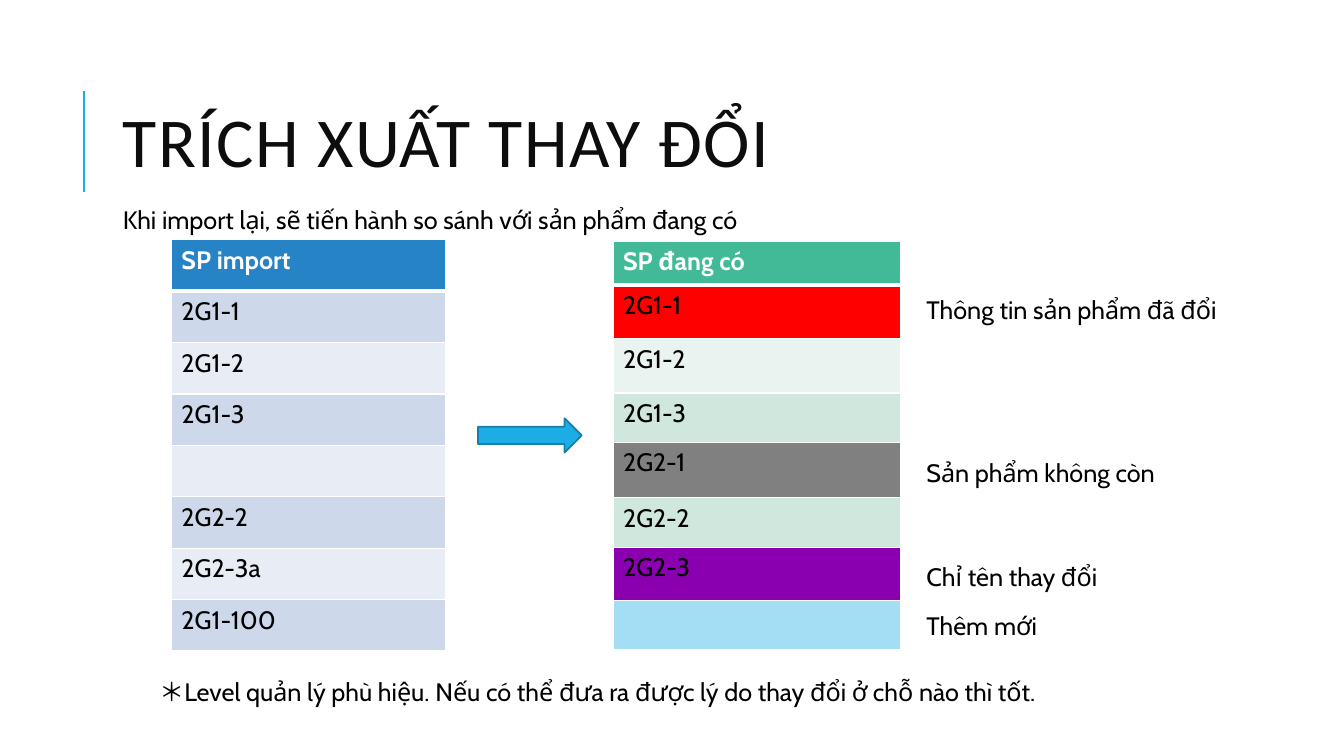
from lxml.etree import SubElement
from pptx import Presentation
from pptx.dml.color import RGBColor
from pptx.enum.shapes import MSO_CONNECTOR as CONN, MSO_SHAPE as SHAPE
from pptx.enum.text import MSO_ANCHOR as ANCHOR, MSO_AUTO_SIZE as FIT
from pptx.oxml.ns import qn
from pptx.util import Inches, Pt

# Content
TITLE = "TRÍCH XUẤT THAY ĐỔI"
TEXTS = [  # left, top, width, text
    (1.12, 1.98, 6.73, "Khi import lại, sẽ tiến hành so sánh với sản phẩm đang có"),
    (9.09, 2.87, 3.23, "Thông tin sản phẩm đã đổi"),
    (9.09, 4.49, 2.54, "Sản phẩm không còn"),
    (9.09, 5.52, 2.54, "Chỉ tên thay đổi"),
    (9.09, 6.01, 2.54, "Thêm mới"),
    (1.48, 6.66, 9.8, "＊Level quản lý phù hiệu. Nếu có thể đưa ra được lý do thay đổi ở chỗ nào thì tốt."),
]
IMPORTED = ["SP import", "2G1-1", "2G1-2", "2G1-3", "", "2G2-2", "2G2-3a", "2G1-100"]
EXISTING = ["SP đang có", "2G1-1", "2G1-2", "2G1-3", "2G2-1", "2G2-2", "2G2-3", ""]

THEME = {
    "accent": "1CADE4", "arrow_line": "1580A9", "border": "FFFFFF",
    "title": {"name": "Calibri", "size": 50, "color": "0D0D0D"},
    "body": {"name": "Cabin", "size": 18, "color": "000000"},
    "header": {"name": "Cabin", "size": 18, "color": "FFFFFF", "bold": True},
    "import": {"header": "2683C6", "bands": ("CDD9EA", "E8EDF5")},
    "existing": {"header": "42BA97", "bands": ("CFE7DD", "E9F3EF")},
    "changed": "FF0000", "removed": "808080", "renamed": "8A00B0", "added": "A4DEF4",
}
STATUS = {1: "changed", 4: "removed", 6: "renamed", 7: "added"}  # row: state

TABLES = [  # left, top, width, row heights, rows, palette, row states
    (1.7, 2.38, 2.72, [0.51] * 8, IMPORTED, "import", {}),
    (6.08, 2.39, 2.85, [0.44, 0.53, 0.54, 0.49, 0.55, 0.49, 0.53, 0.49],
     EXISTING, "existing", STATUS),
]


def rgb(value):
    return RGBColor.from_string(value)


def box(*lengths):
    return [Inches(n) for n in lengths]


def write(p, text, style):
    r = p.add_run()
    r.text = text
    for key, value in THEME[style].items():
        if key == "color":
            r.font.color.rgb = rgb(value)
        else:
            setattr(r.font, key, Pt(value) if key == "size" else value)
    return r


def add_text(s, area, text, style, **frame):
    tf = s.shapes.add_textbox(*box(*area)).text_frame
    tf.word_wrap = True
    for key, value in frame.items():
        setattr(tf, key, value)
    return tf.paragraphs[0], write(tf.paragraphs[0], text, style)


def set_borders(cell, top, bottom):
    tc_pr = cell._tc.get_or_add_tcPr()
    for side, width in (("L", 1), ("R", 1), ("T", top), ("B", bottom)):
        ln = SubElement(tc_pr, qn(f"a:ln{side}"), w=str(Pt(width)))
        SubElement(SubElement(ln, qn("a:solidFill")), qn("a:srgbClr"), val=THEME["border"])


def add_product_table(s, left, top, width, heights, rows, palette, states):
    area = box(left, top, width, sum(heights))
    table = s.shapes.add_table(len(rows), 1, *area).table
    colors = THEME[palette]
    for i, (text, height) in enumerate(zip(rows, heights)):
        table.rows[i].height = Inches(height)
        cell = table.cell(i, 0)
        set_borders(cell, 3 if i == 1 else 1, 3 if i == 0 else 1)
        if i == 0:
            color = colors["header"]
        elif i in states:
            color = THEME[states[i]]
        else:
            color = colors["bands"][(i - 1) % 2]
        cell.fill.solid()
        cell.fill.fore_color.rgb = rgb(color)
        if text:
            write(cell.text_frame.paragraphs[0], text, "body" if i else "header")


prs = Presentation()
prs.slide_width, prs.slide_height = box(13.33, 7.5)
s = prs.slides.add_slide(prs.slide_layouts[6])

# Title and its accent line
rule = s.shapes.add_connector(CONN.STRAIGHT, *box(0.83, 1.9, 0.83, 0.9))
rule.line.color.rgb = rgb(THEME["accent"])
rule.line.width = Pt(1.5)
SubElement(rule._element.spPr, qn("a:effectLst"))
p, r = add_text(s, (1.12, 0.64, 10.63, 1.64), TITLE, "title", vertical_anchor=ANCHOR.MIDDLE)
p.line_spacing = 0.8
r._r.get_or_add_rPr().set("spc", "100")

# Product tables
for spec_row in TABLES:
    add_product_table(s, *spec_row)

# Arrow between the tables
arrow = s.shapes.add_shape(SHAPE.RIGHT_ARROW, *box(4.74, 4.15, 1.03, 0.34))
arrow.shadow.inherit = False
arrow.fill.solid()
arrow.fill.fore_color.rgb = rgb(THEME["accent"])
arrow.line.color.rgb = rgb(THEME["arrow_line"])
arrow.line.width = Pt(1.25)

# Introduction, row notes and footnote
for left, top, width, text in TEXTS:
    add_text(s, (left, top, width, 0.4), text, "body", auto_size=FIT.SHAPE_TO_FIT_TEXT)

prs.save("out.pptx")
